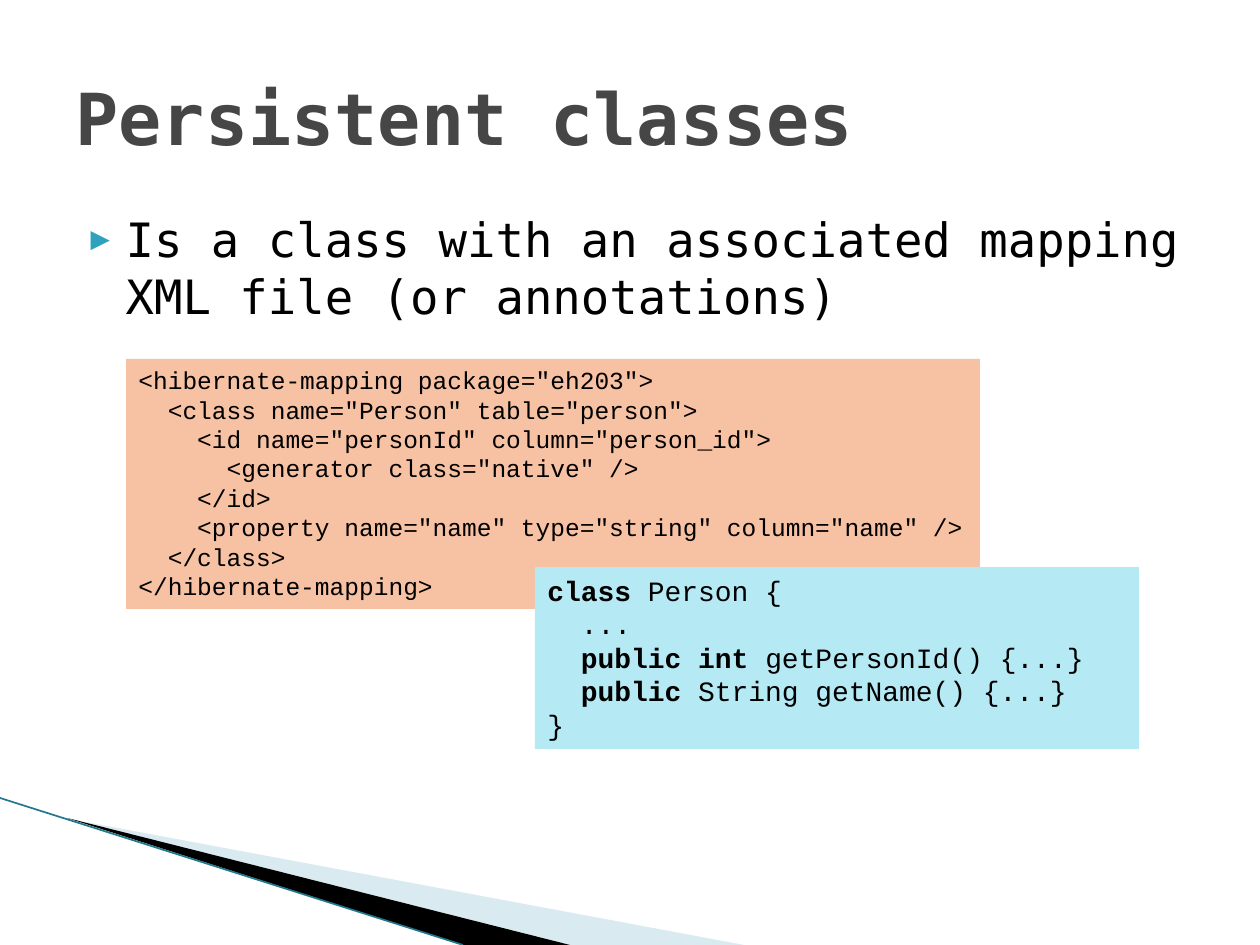
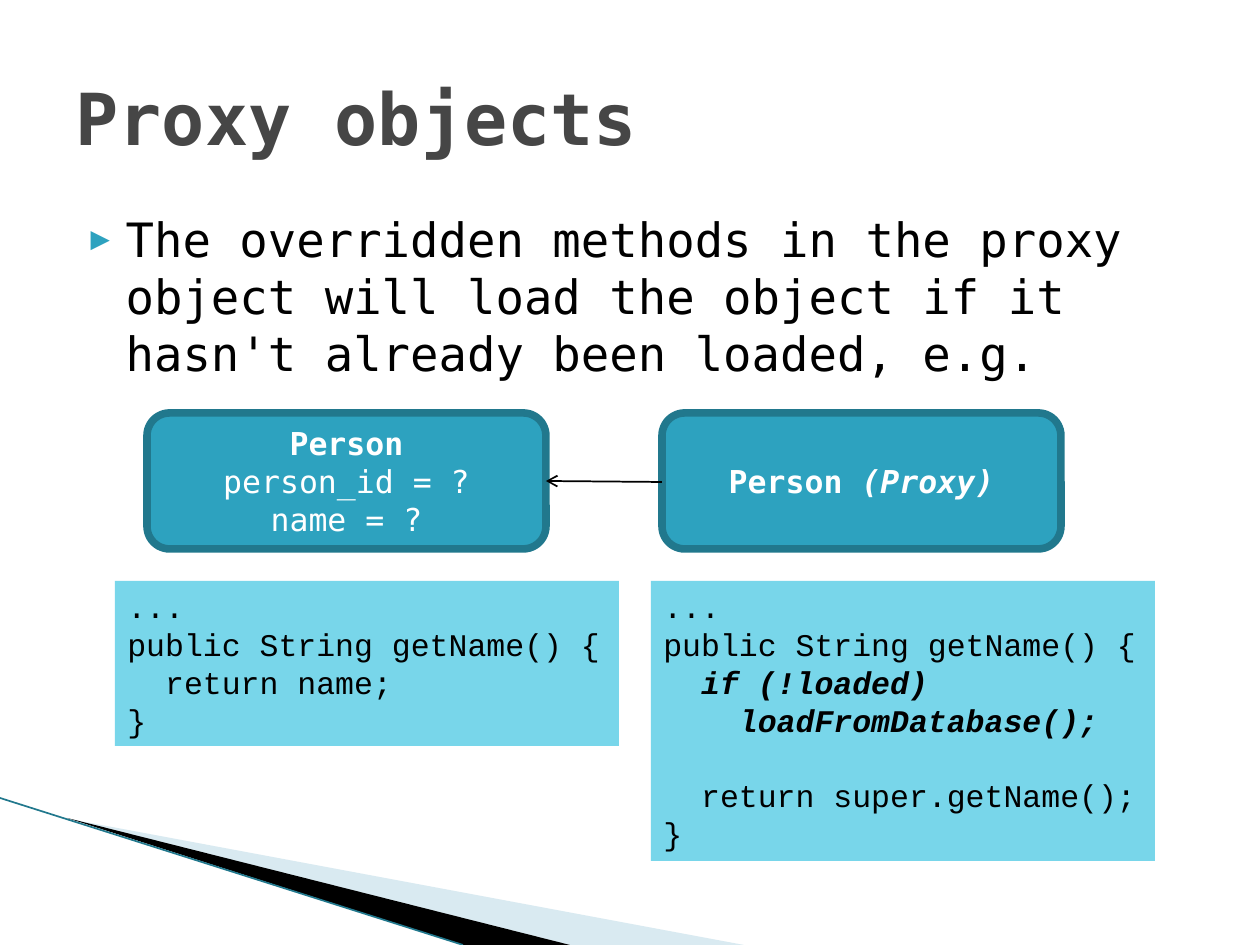
import pptx
import pptx.util
import pptx.dml.color
import pptx.enum.shapes
import pptx.enum.text
import pptx.oxml
import pptx.oxml.ns
import lxml.etree

RGBColor = pptx.dml.color.RGBColor
Shape = pptx.enum.shapes.MSO_SHAPE
Align = pptx.enum.text.PP_ALIGN
Anchor = pptx.enum.text.MSO_ANCHOR
AutoSize = pptx.enum.text.MSO_AUTO_SIZE
qn = pptx.oxml.ns.qn

PIXEL = 914400 // 126
SANS, CODE = "DejaVu Sans Mono", "Courier New"
BLACK = RGBColor(0, 0, 0)
WHITE = RGBColor(0xFF, 0xFF, 0xFF)
GREY = RGBColor(0x46, 0x46, 0x46)
TEAL = RGBColor(0x2D, 0xA2, 0xBF)
DARK_TEAL = RGBColor(0x21, 0x78, 0x8D)
PALE_BLUE = RGBColor(0xA0, 0xCB, 0xDC)
ORANGE = RGBColor(0xF7, 0xC1, 0xA4)
LIGHT_CYAN = RGBColor(0xB5, 0xE9, 0xF4)
CYAN = RGBColor(0x78, 0xD6, 0xEA)


def write(box, lines, size, font=CODE, color=BLACK, bold=False,
          align=Align.LEFT, anchor=Anchor.TOP, wrap=True, fit=AutoSize.NONE):
    """Each line is a string or a list of (text, style) spans; style holds b and i."""
    frame = box.text_frame
    frame.word_wrap, frame.auto_size, frame.vertical_anchor = wrap, fit, anchor
    for number, line in enumerate(lines):
        para = frame.paragraphs[0] if number == 0 else frame.add_paragraph()
        para.alignment = align
        for text, style in [(line, "")] if isinstance(line, str) else line:
            span = para.add_run()
            span.text = text
            span.font.size, span.font.name = pptx.util.Pt(size), font
            span.font.color.rgb = color
            span.font.bold = bold or "b" in style
            span.font.italic = "i" in style
    return frame.paragraphs


def add_box(page, kind, area, fill, border=None):
    box = page.shapes.add_shape(kind, *[PIXEL * length for length in area])
    box.shadow.inherit = False
    box.fill.solid()
    box.fill.fore_color.rgb = fill
    if border is None:
        box.line.fill.background()
    else:
        box.line.color.rgb, box.line.width = border, pptx.util.Pt(4.33)
    return box


deck = pptx.Presentation()
deck.slide_width, deck.slide_height = 1260 * PIXEL, 945 * PIXEL
layout = deck.slide_layouts[1]

# Titles and bullets of both slides
pages = []
for title, bullet in [
    ("Persistent classes",
     "Is a class with an associated mapping XML file (or annotations)"),
    ("Proxy objects",
     "The overridden methods in the proxy object will load the object if it "
     "hasn't already been loaded, e.g."),
]:
    page = deck.slides.add_slide(layout)
    heading, body = page.placeholders
    for holder, top, height in [(heading, 38, 158), (body, 204, 624)]:
        holder.left, holder.top = 63 * PIXEL, top * PIXEL
        holder.width, holder.height = 1134 * PIXEL, height * PIXEL
    write(heading, [title], 41, SANS, GREY, bold=True, anchor=Anchor.MIDDLE)
    para = write(body, [bullet], 27, SANS)[0]
    para.space_before = pptx.util.Pt(4)
    marks = para._p.get_or_add_pPr()
    marks.set("marL", str(50 * PIXEL))
    marks.set("indent", str(-35 * PIXEL))
    color = lxml.etree.SubElement(marks, qn("a:buClr"))
    lxml.etree.SubElement(color, qn("a:srgbClr"), val=str(TEAL))
    lxml.etree.SubElement(marks, qn("a:buSzPct"), val="68000")
    lxml.etree.SubElement(marks, qn("a:buFont"), typeface=SANS)
    lxml.etree.SubElement(marks, qn("a:buChar"), char="\u25b6")
    pages.append(page)
classes, proxies = pages

# Corner wedges and edge line, shared through the layout
for points, fill, opacity in [
    ([(69, 819), (744, 945), (570, 945)], PALE_BLUE, 40),
    ([(67, 818), (570, 945), (463, 945)], BLACK, 100),
]:
    outline = classes.shapes.build_freeform(*points[0], scale=PIXEL)
    outline.add_line_segments(points[1:])
    wedge = outline.convert_to_shape()
    wedge.shadow.inherit = False
    wedge.fill.solid()
    wedge.fill.fore_color.rgb = fill
    wedge.line.fill.background()
    tint = wedge.element.spPr.find(".//" + qn("a:srgbClr"))
    lxml.etree.SubElement(tint, qn("a:alpha"), val=str(opacity * 1000))
    layout.shapes.element.append(wedge.element)

# Edge line (for the layout) and arrow from proxy to person
for page, ends, color, width in [
    (classes, (0, 798, 463, 945), DARK_TEAL, 0.95),
    (proxies, (662, 482, 546, 481), BLACK, 1),
]:
    line = page.shapes.add_connector(
        pptx.enum.shapes.MSO_CONNECTOR.STRAIGHT, *[PIXEL * end for end in ends])
    line.line.color.rgb, line.line.width = color, pptx.util.Pt(width)
    lxml.etree.SubElement(line.element.spPr, qn("a:effectLst"))
    if page is classes:
        layout.shapes.element.append(line.element)
    else:
        arrow = line
lxml.etree.SubElement(arrow.line._get_or_add_ln(), qn("a:tailEnd"), type="arrow")

# Person and its proxy
for left, lines in [
    (147, [[("Person", "b")], "person_id = ?", "name = ?"]),
    (662, [[("Person", "b"), (" (Proxy)", "bi")]]),
]:
    box = add_box(proxies, Shape.ROUNDED_RECTANGLE, (left, 413, 399, 136), TEAL, DARK_TEAL)
    write(box, lines, 18, SANS, WHITE, align=Align.CENTER, anchor=Anchor.MIDDLE)
proxies.shapes.element.append(arrow.element)

# Code listings
mapping = [
    '<hibernate-mapping package="eh203">',
    '  <class name="Person" table="person">',
    '    <id name="personId" column="person_id">',
    '      <generator class="native" />',
    '    </id>',
    '    <property name="name" type="string" column="name" />',
    '  </class>',
    '</hibernate-mapping>',
]
person = [
    [("class", "b"), (" Person {", "")],
    "  ...",
    [("  ", ""), ("public int ", "b"), ("getPersonId() {...}", "")],
    [("  ", ""), ("public", "b"), (" String getName() {...}", "")],
    "}",
]
getter = ["...", "public String getName() {"]
loader = getter + [
    [("  if (!loaded)", "bi")],
    [("    loadFromDatabase();", "bi")],
    "  return super.getName();",
    "}",
]
for page, area, fill, size, lines in [
    (classes, (126, 359, 854, 250), ORANGE, 14, mapping),
    (classes, (535, 567, 604, 182), LIGHT_CYAN, 16, person),
    (proxies, (115, 581, 504, 165), CYAN, 18, getter + ["  return name;", "}"]),
    (proxies, (651, 581, 504, 280), CYAN, 18, loader),
]:
    box = add_box(page, Shape.RECTANGLE, area, fill)
    paras = write(box, lines, size, wrap=lines is not mapping,
                  fit=AutoSize.SHAPE_TO_FIT_TEXT)
    if lines is loader:
        paras[4].space_before = pptx.util.Pt(21.6)

deck.save("out.pptx")
